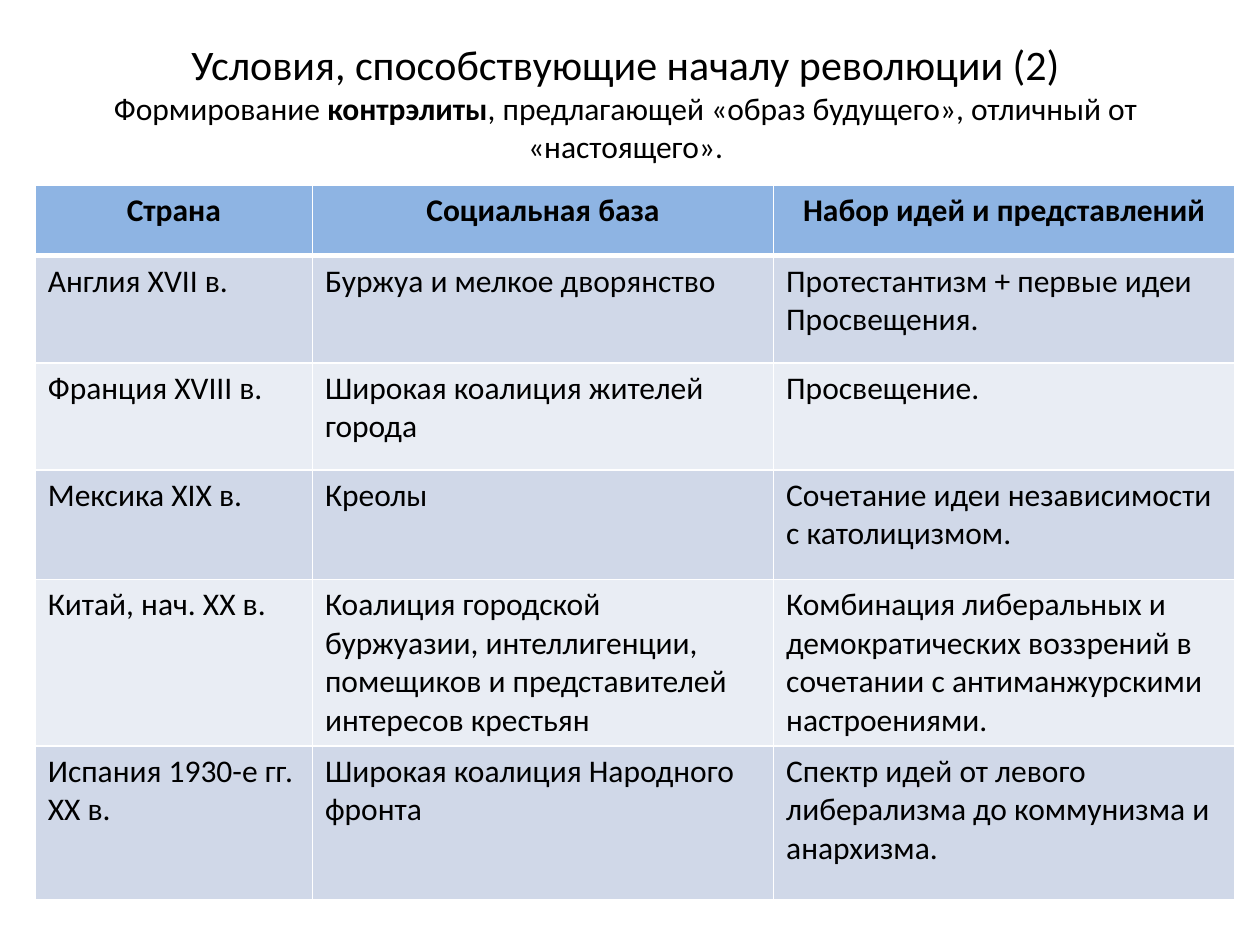
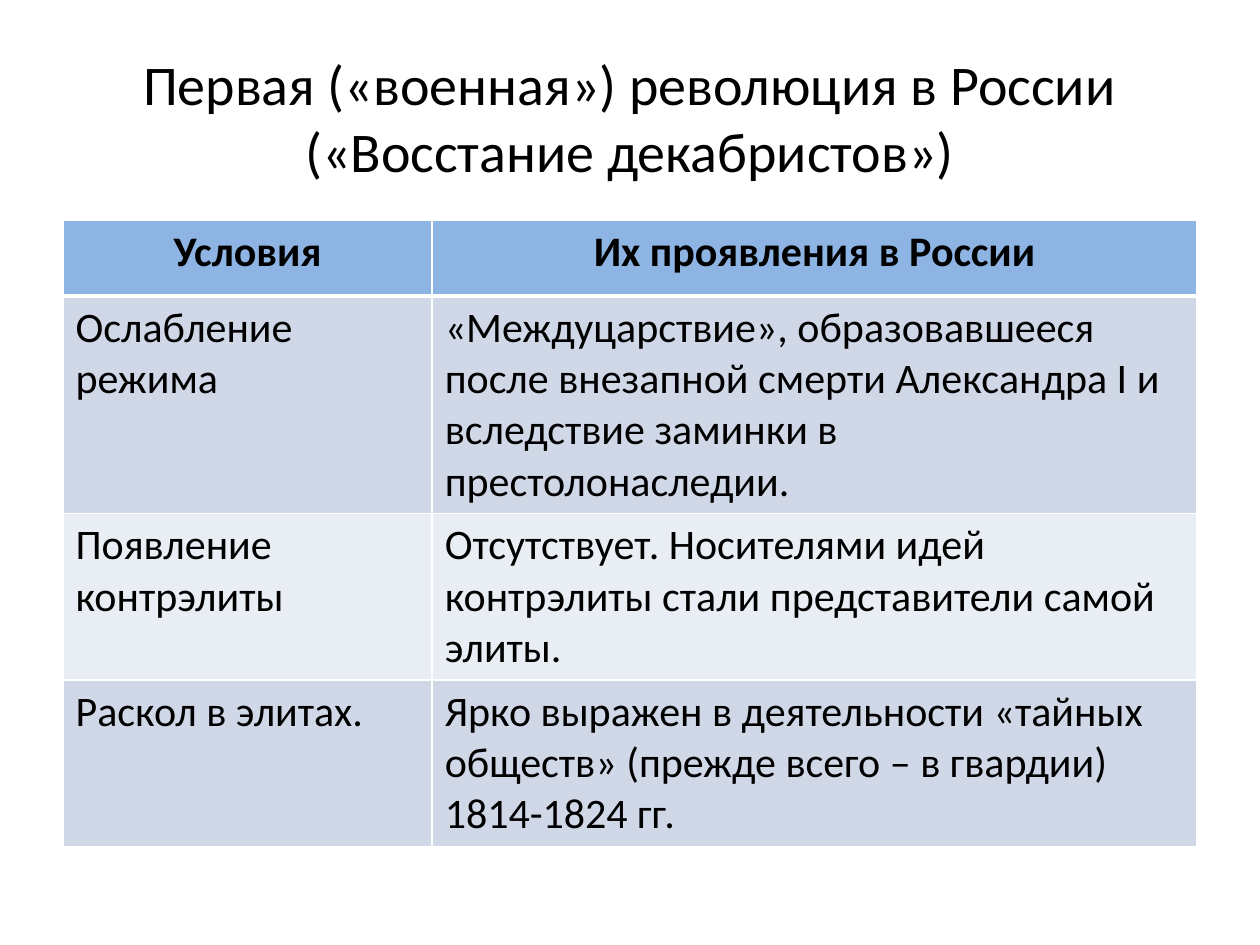
from lxml import etree
from pptx import Presentation
from pptx import util as u
from pptx.dml.color import RGBColor
from pptx.enum import text
from pptx.oxml.ns import qn

# Content: title runs are (text, size, bold); "\n" ends a line
SLIDES = [
    dict(
        title=[("Условия, способствующие началу революции (2)\n", 24, False),
               ("Формирование ", 18, False),
               ("контрэлиты", 18, True),
               (", предлагающей «образ будущего», отличный от «настоящего».",
                18, False)],
        box=(0.43, 0.3, 9.07, 1.01),
        spot=(0.28, 1.47), size=18,
        cols=[2.2, 3.66, 3.66],
        rows=[0.56, 0.85, 0.85, 0.87, 1.32, 1.22],
        cells=[
            ("Страна", "Социальная база", "Набор идей и представлений"),
            ("Англия XVII в.", "Буржуа и мелкое дворянство",
             "Протестантизм + первые идеи Просвещения."),
            ("Франция XVIII в.", "Широкая коалиция жителей города",
             "Просвещение."),
            ("Мексика XIX в.", "Креолы",
             "Сочетание идеи независимости с католицизмом."),
            ("Китай, нач. ХХ в.",
             "Коалиция городской буржуазии, интеллигенции, помещиков и "
             "представителей интересов крестьян",
             "Комбинация либеральных и демократических воззрений в сочетании "
             "с антиманжурскими настроениями."),
            ("Испания 1930-е гг. ХХ в.", "Широкая коалиция Народного фронта",
             "Спектр идей от левого либерализма до коммунизма и анархизма."),
        ]),
    dict(
        title=[("Первая («военная») революция в России "
                "(«Восстание декабристов»)", 32, False)],
        box=(0.5, 0.3, 9, 1.25),
        spot=(0.5, 1.75), size=24,
        cols=[2.93, 6.07],
        rows=[0.6, 1.71, 1.31, 1.31],
        cells=[
            ("Условия", "Их проявления в России"),
            ("Ослабление режима",
             "«Междуцарствие», образовавшееся после внезапной смерти "
             "Александра I и вследствие заминки в престолонаследии."),
            ("Появление контрэлиты",
             "Отсутствует. Носителями идей контрэлиты стали представители "
             "самой элиты."),
            ("Раскол в элитах.",
             "Ярко выражен в деятельности «тайных обществ» (прежде всего – "
             "в гвардии) 1814-1824 гг."),
        ]),
]

THEME = dict(font="Calibri", ink="000000", head="8EB4E3",
             bands=("D0D8E8", "E9EDF4"), rule="FFFFFF", thin=1, thick=3)


def write(par, words, size, bold=False, align=text.PP_ALIGN.LEFT):
    """Add one formatted run to a paragraph."""
    par.alignment = align
    run = par.add_run()
    run.text = words.rstrip("\n")
    font = run.font
    font.name, font.size, font.bold = THEME["font"], u.Pt(size), bold
    font.color.rgb = RGBColor.from_string(THEME["ink"])
    if words.endswith("\n"):
        par.add_line_break()


def edge(cell, side, width):
    """Draw one border of a cell."""
    line = etree.SubElement(cell._tc.get_or_add_tcPr(), qn("a:ln" + side),
                            w=str(u.Pt(width)))
    fill = etree.SubElement(line, qn("a:solidFill"))
    etree.SubElement(fill, qn("a:srgbClr"), val=THEME["rule"])


def add_title(slide, data):
    title = slide.shapes.title
    title.left, title.top, title.width, title.height = map(u.Inches, data["box"])
    frame = title.text_frame
    frame.auto_size = text.MSO_AUTO_SIZE.NONE
    frame.vertical_anchor = text.MSO_ANCHOR.MIDDLE
    for words, size, bold in data["title"]:
        write(frame.paragraphs[0], words, size, bold, text.PP_ALIGN.CENTER)


def add_grid(slide, data):
    cols, rows = data["cols"], data["rows"]
    area = map(u.Inches, (*data["spot"], sum(cols), sum(rows)))
    table = slide.shapes.add_table(len(rows), len(cols), *area).table
    for col, wide in zip(table.columns, cols):
        col.width = u.Inches(wide)
    for row, tall in zip(table.rows, rows):
        row.height = u.Inches(tall)

    for r, line in enumerate(data["cells"]):
        head = r == 0
        color = THEME["head"] if head else THEME["bands"][(r - 1) % 2]
        align = text.PP_ALIGN.CENTER if head else text.PP_ALIGN.LEFT
        # The rule under the header is heavier, seen from both rows
        heavy = {0: "B", 1: "T"}.get(r)
        for c, words in enumerate(line):
            cell = table.cell(r, c)
            for side in "LRTB":
                edge(cell, side, THEME["thick" if side == heavy else "thin"])
            cell.fill.solid()
            cell.fill.fore_color.rgb = RGBColor.from_string(color)
            write(cell.text_frame.paragraphs[0], words, data["size"],
                  head, align)


def main():
    deck = Presentation()
    deck.slide_width, deck.slide_height = u.Inches(10), u.Inches(7.5)
    for data in SLIDES:
        slide = deck.slides.add_slide(deck.slide_layouts[5])
        add_title(slide, data)
        add_grid(slide, data)
    deck.save("out.pptx")


if __name__ == "__main__":
    main()
